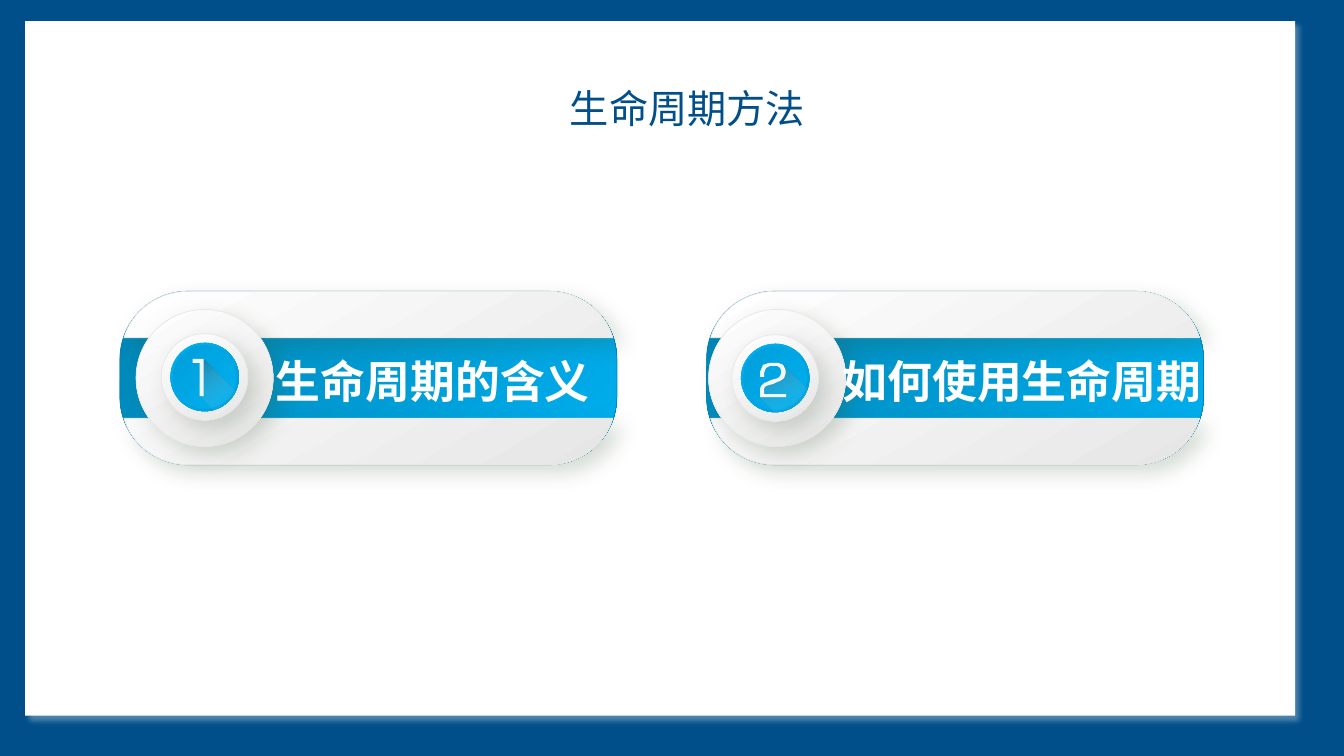
from dataclasses import dataclass
from typing import Optional

from lxml import etree
from pptx import Presentation
from pptx import util as u
from pptx.dml.color import RGBColor
from pptx.enum import shapes, text
from pptx.oxml.ns import qn

COLUMNS, ROWS = 40, 22.5
SLIDE_WIDTH, SLIDE_HEIGHT = u.Inches(13.33), u.Inches(7.5)
Point = tuple[float, float]


@dataclass(frozen=True)
class Gradient:
    start: str
    end: str
    angle: int
    end_at: float = 1.0
    alphas: tuple[int, int] = (100, 100)


@dataclass(frozen=True)
class Shadow:
    color: str
    alpha: int
    blur: float
    distance: float
    angle: int = 45


@dataclass(frozen=True)
class Theme:
    navy: str = "004F8A"
    white: str = "FFFFFF"
    numeral: str = "F6F6F0"
    band_edge: str = "0084B4"
    silver_edge: str = "E7E6E6"
    band: Gradient = Gradient("0084B4", "00B0F0", 45)
    silver: Gradient = Gradient("FFFFFF", "E7E6E6", 60)
    ring: Gradient = Gradient("00B0F0", "009ED8", 45)
    core: Gradient = Gradient("009ED8", "00B0F0", 45)
    shade: Gradient = Gradient("3F3F3F", "FFFFFF", 60, 0.76, (40, 0))
    page_shadow: Shadow = Shadow("FFFFFF", 30, 4, 5)
    soft_shadow: Shadow = Shadow("32522C", 20, 15, 8)
    glow: Shadow = Shadow("00B0F0", 40, 5, 0, 0)
    title_font: str = "Noto Sans CJK JP"
    label_font: str = "Noto Sans CJK SC"
    title_size: int = 28
    label_size: int = 32
    hairline: float = 0.5


@dataclass(frozen=True)
class Panel:
    label: str
    left: float
    disc_left: float
    badge: Point
    label_left: float
    label_width: float
    numeral: list[Point]
    shade: list[Point]


THEME = Theme()
PANEL_TOP, PANEL_WIDTH, PANEL_HEIGHT = 8.67, 14.79, 5.16
DISC_TOP, DISC_SIZE, BADGE_SIZE = 9.21, 4.08, 2.58
RING_INSET, CORE_INSET = 0.27, 0.35
LABEL_TOP, LABEL_HEIGHT = 10.35, 1.95

ONE = [(1.14, 1.86), (1.14, 0.87), (0.93, 0.87), (0.93, 0.75), (1.26, 0.75), (1.26, 1.86)]
ONE_SHADE = [(1.26, 0.75), (1.17, 1.86), (1.83, 2.58), (2.46, 1.95)]
TWO = [
    (0.84, 1.86), (0.84, 1.62), (0.87, 1.53), (0.96, 1.44), (1.05, 1.41), (1.17, 1.35),
    (1.29, 1.32), (1.38, 1.29), (1.44, 1.23), (1.47, 1.14), (1.47, 1.08), (1.44, 0.99),
    (1.35, 0.93), (1.14, 0.93), (1.02, 0.99), (0.96, 1.14), (0.96, 1.26), (0.84, 1.26),
    (0.84, 1.11), (0.93, 0.9), (1.11, 0.84), (1.38, 0.84), (1.53, 0.9), (1.6, 1.05),
    (1.6, 1.17), (1.56, 1.29), (1.44, 1.38), (1.35, 1.41), (1.23, 1.47), (1.11, 1.5),
    (1.02, 1.53), (0.96, 1.59), (0.96, 1.77), (1.62, 1.77), (1.62, 1.86),
]
TWO_SHADE = [(1.53, 0.9), (1.5, 1.26), (0.93, 1.53), (0.84, 1.86), (1.65, 2.67), (2.49, 1.86)]

PANELS = [
    Panel("生命周期的含义", 3.57, 4.05, (4.8, 9.93), 7.71, 10.35, ONE, ONE_SHADE),
    Panel("如何使用生命周期", 21.03, 21.09, (21.78, 9.96), 24, 12.84, TWO, TWO_SHADE),
]


def col(count: float) -> int:
    return round(SLIDE_WIDTH * count / COLUMNS)


def row(count: float) -> int:
    return round(SLIDE_HEIGHT * count / ROWS)


def rgb(color: str) -> RGBColor:
    return RGBColor.from_string(color)


def paint(shape, fill: str | Gradient, edge: Optional[str] = None,
          shadow: Optional[Shadow] = None) -> None:
    if isinstance(fill, Gradient):
        shape.fill.gradient()
        shape.fill.gradient_angle = 360 - fill.angle
        stops = shape.fill.gradient_stops
        for stop, color, position in zip(stops, (fill.start, fill.end), (0, fill.end_at)):
            stop.color.rgb = rgb(color)
            stop.position = position
        tints = shape._element.spPr.find(qn("a:gradFill")).iter(qn("a:srgbClr"))
        for tint, alpha in zip(tints, fill.alphas):
            if alpha < 100:
                etree.SubElement(tint, qn("a:alpha"), val=str(alpha * 1000))
    else:
        shape.fill.solid()
        shape.fill.fore_color.rgb = rgb(fill)
    if edge:
        shape.line.color.rgb = rgb(edge)
        shape.line.width = u.Pt(THEME.hairline)
    else:
        shape.line.fill.background()
    shape.shadow.inherit = False
    if shadow:
        effects = shape._element.spPr.find(qn("a:effectLst"))
        outer = etree.SubElement(
            effects, qn("a:outerShdw"), blurRad=str(u.Pt(shadow.blur)),
            dist=str(u.Pt(shadow.distance)), dir=str(shadow.angle * 60000),
            algn="tl", rotWithShape="0")
        tint = etree.SubElement(outer, qn("a:srgbClr"), val=shadow.color)
        etree.SubElement(tint, qn("a:alpha"), val=str(shadow.alpha * 1000))


def preset(slide, kind, left: float, top: float, width: float, height: float, **style):
    shape = slide.shapes.add_shape(kind, col(left), row(top), col(width), row(height))
    paint(shape, **style)
    return shape


def circle(slide, left: float, top: float, size: float, inset: float = 0, **style) -> None:
    diameter = size - 2 * inset
    preset(slide, shapes.MSO_SHAPE.OVAL, left + inset, top + inset, diameter, diameter, **style)


def outline(slide, left: float, top: float, contours: list[list[Point]], **style) -> None:
    placed = [[(col(left + x), row(top + y)) for x, y in contour] for contour in contours]
    builder = slide.shapes.build_freeform(*placed[0][0])
    for index, contour in enumerate(placed):
        if index:
            builder.move_to(*contour[0])
        builder.add_line_segments(contour[1:], close=True)
    paint(builder.convert_to_shape(), **style)


def curve(a: Point, b: Point, c: Point, d: Point, steps: int = 16) -> list[Point]:
    def blend(t: float, axis: int) -> float:
        s = 1 - t
        return s**3 * a[axis] + 3 * s * s * t * b[axis] + 3 * s * t * t * c[axis] + t**3 * d[axis]

    return [(blend(i / steps, 0), blend(i / steps, 1)) for i in range(steps + 1)]


def cap_contours() -> list[list[Point]]:
    corner = curve((0.12, 3.78), (0.36, 4.59), (1.14, 5.16), (2.01, 5.16))
    lower = corner + [(PANEL_WIDTH - x, y) for x, y in reversed(corner)]
    return [lower, [(x, PANEL_HEIGHT - y) for x, y in lower]]


def write(shape, words: str, *, font: str, size: int, color: str,
          bold: bool = False, inset: Point = (0.3, 0.15)) -> None:
    frame = shape.text_frame
    frame.word_wrap = True
    frame.auto_size = text.MSO_AUTO_SIZE.NONE
    frame.vertical_anchor = text.MSO_ANCHOR.MIDDLE
    frame.margin_left = frame.margin_right = col(inset[0])
    frame.margin_top = frame.margin_bottom = row(inset[1])
    paragraph = frame.paragraphs[0]
    paragraph.alignment = text.PP_ALIGN.CENTER
    run = paragraph.add_run()
    run.text = words
    run.font.size, run.font.bold = u.Pt(size), bold
    run.font.color.rgb = rgb(color)
    run.font.name = font
    etree.SubElement(run._r.get_or_add_rPr(), qn("a:ea"), typeface=font)


def draw_panel(slide, panel: Panel) -> None:
    silver = dict(fill=THEME.silver, edge=THEME.silver_edge, shadow=THEME.soft_shadow)
    band = preset(slide, shapes.MSO_SHAPE.ROUNDED_RECTANGLE, panel.left, PANEL_TOP,
                  PANEL_WIDTH, PANEL_HEIGHT, fill=THEME.band, edge=THEME.band_edge)
    band.adjustments[0] = 0.39
    outline(slide, panel.left, PANEL_TOP, cap_contours(), **silver)
    circle(slide, panel.disc_left, DISC_TOP, DISC_SIZE, **silver)
    circle(slide, *panel.badge, BADGE_SIZE, **silver)
    circle(slide, *panel.badge, BADGE_SIZE, RING_INSET, fill=THEME.ring)
    circle(slide, *panel.badge, BADGE_SIZE, CORE_INSET, fill=THEME.core)
    outline(slide, *panel.badge, [panel.shade], fill=THEME.shade)
    outline(slide, *panel.badge, [panel.numeral], fill=THEME.numeral, shadow=THEME.glow)
    label = slide.shapes.add_textbox(col(panel.label_left), row(LABEL_TOP),
                                     col(panel.label_width), row(LABEL_HEIGHT))
    write(label, panel.label, font=THEME.label_font, size=THEME.label_size,
          color=THEME.white, bold=True, inset=(0.39, 0.21))


def main() -> None:
    deck = Presentation()
    deck.slide_width, deck.slide_height = SLIDE_WIDTH, SLIDE_HEIGHT
    slide = deck.slides.add_slide(deck.slide_layouts[5])
    slide.background.fill.solid()
    slide.background.fill.fore_color.rgb = rgb(THEME.navy)
    title = slide.shapes.title
    page = preset(slide, shapes.MSO_SHAPE.RECTANGLE, 0.75, 0.63, 37.8, 20.67,
                  fill=THEME.white, shadow=THEME.page_shadow)
    title._element.addprevious(page._element)
    title.left, title.top, title.width, title.height = col(11.49), row(2.34), col(17.94), row(1.71)
    paint(title, THEME.white, THEME.white)
    write(title, "生命周期方法", font=THEME.title_font, size=THEME.title_size, color=THEME.navy)
    for panel in PANELS:
        draw_panel(slide, panel)
    deck.save("out.pptx")


if __name__ == "__main__":
    main()
